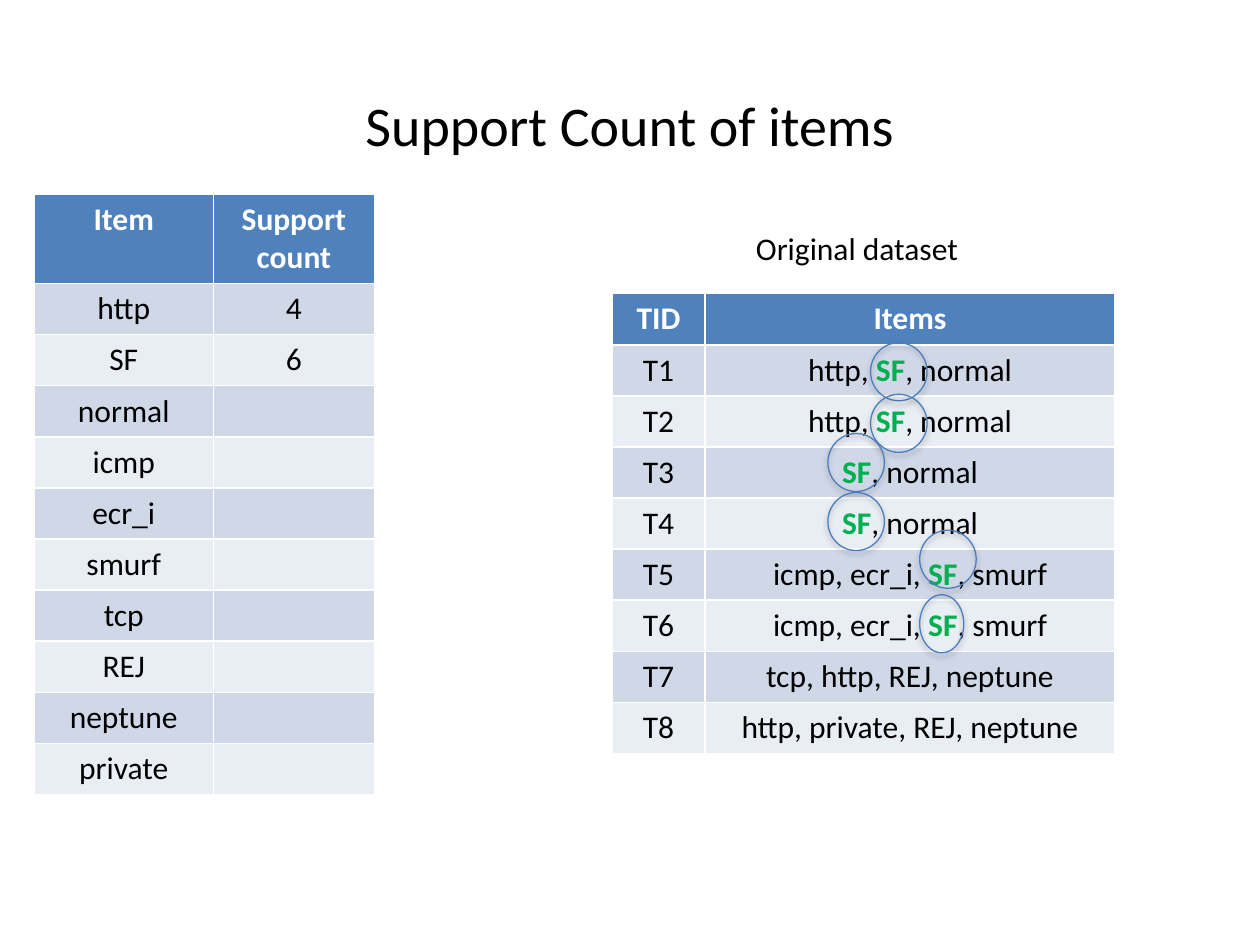
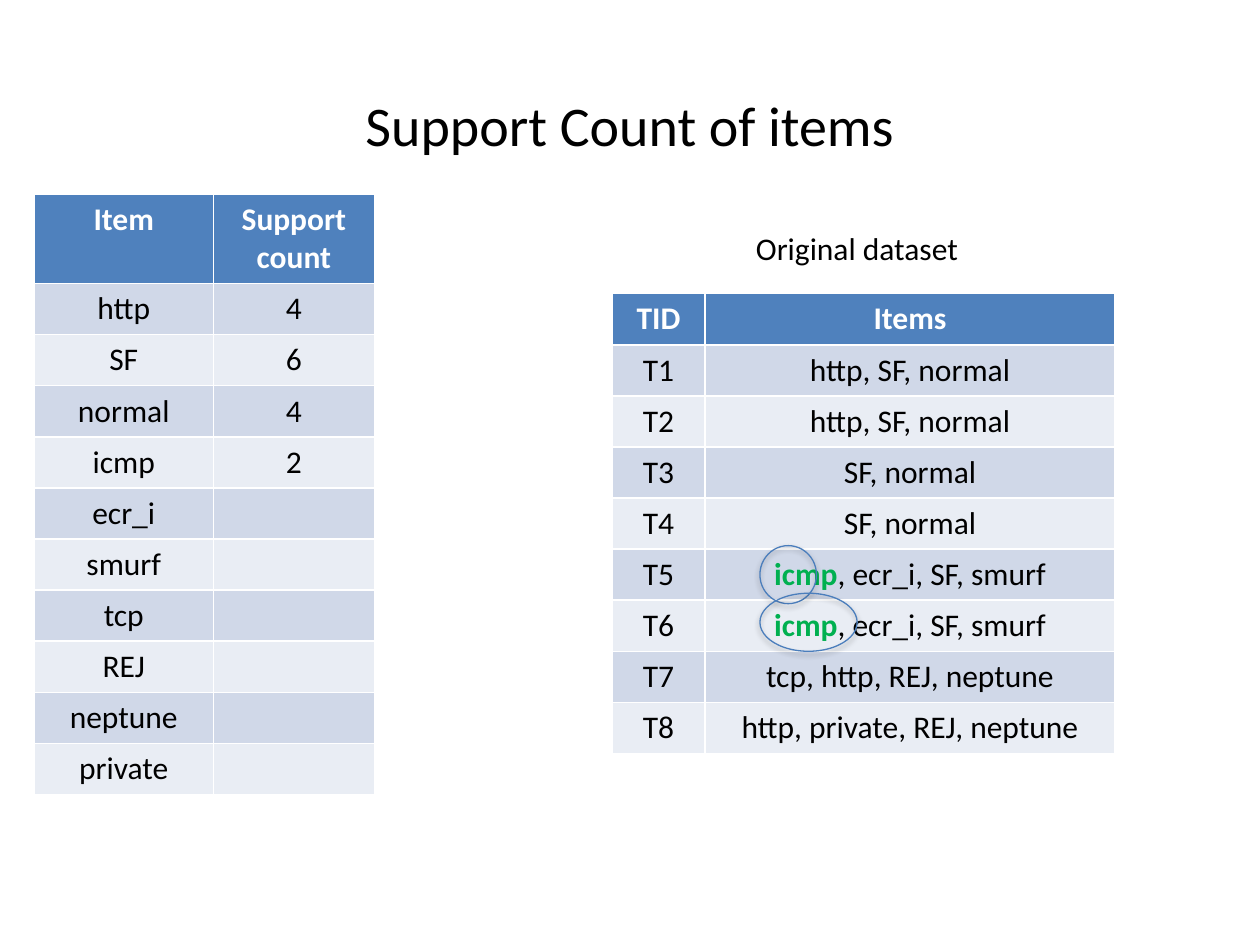
"""Build two slides that count the support of items in a dataset."""
from dataclasses import dataclass
from typing import Any

from pptx import Presentation
from pptx.dml.color import RGBColor
from pptx.enum.shapes import MSO_SHAPE as Kind
from pptx.enum.text import MSO_ANCHOR as Anchor, MSO_AUTO_SIZE as Auto, PP_ALIGN as Align
from pptx.util import Cm, Pt

BLACK = RGBColor(0x00, 0x00, 0x00)
WHITE = RGBColor(0xFF, 0xFF, 0xFF)
GREEN = RGBColor(0x00, 0xB0, 0x50)
BLUE = RGBColor(0x4F, 0x81, 0xBD)
EDGE = RGBColor(0x4B, 0x7E, 0xBC)
BANDS = (RGBColor(0xE9, 0xED, 0xF4), RGBColor(0xD0, 0xD8, 0xE8))

FONT = "Calibri"
BIG = {"name": FONT, "size": Pt(32), "bold": False}
BODY = {"name": FONT, "size": Pt(18), "bold": False}
BOLD = {**BODY, "bold": True}
ROW = 1.03

ITEMS = ("http", "SF", "normal", "icmp", "ecr_i", "smurf", "tcp", "REJ", "neptune", "private")
DATA = (
    "http, SF, normal",
    "http, SF, normal",
    "SF, normal",
    "SF, normal",
    "icmp, ecr_i, SF, smurf",
    "icmp, ecr_i, SF, smurf",
    "tcp, http, REJ, neptune",
    "http, private, REJ, neptune",
)


@dataclass(frozen=True)
class Grid:
    left: float
    top: float
    cols: tuple[float, ...]
    head: float


@dataclass(frozen=True)
class Ring:
    left: float
    top: float
    width: float = 1.14
    height: float = 1.17


@dataclass(frozen=True)
class Step:
    word: str
    counts: tuple[str, ...]
    rings: tuple[Ring, ...]


COUNT = Grid(0.69, 3.91, (3.61, 3.25), 1.8)
SOURCE = Grid(12.34, 5.92, (1.87, 8.27), ROW)

STEPS = (
    Step("SF", ("4", "6"), (
        Ring(17.55, 6.91), Ring(17.55, 7.95), Ring(16.69, 8.74),
        Ring(16.69, 9.93), Ring(18.54, 10.69), Ring(18.54, 11.99, 0.89),
    )),
    Step("icmp", ("4", "6", "4", "2"), (Ring(15.32, 11), Ring(15.32, 11.96, 1.96 - 0.18),)[:1]
         + (Ring(15.32, 11.96, 1.96),)),
)


def add_run(para: Any, text: str, form: dict[str, Any], color: RGBColor) -> None:
    """Append formatted text to a paragraph."""
    run = para.add_run()
    run.text = text
    for key, value in form.items():
        setattr(run.font, key, value)
    run.font.color.rgb = color


def fill_cell(cell: Any, text: str, row: int, word: str) -> None:
    """Colour a cell and write its text, with the chosen word in green."""
    cell.fill.solid()
    cell.fill.fore_color.rgb = BANDS[row % 2] if row else BLUE
    para = cell.text_frame.paragraphs[0]
    para.alignment = Align.CENTER
    if not row:
        add_run(para, text, BOLD, WHITE)
        return
    pre, hit, post = text.partition(word) if word else (text, "", "")
    for part, form, color in ((pre, BODY, BLACK), (hit, BOLD, GREEN), (post, BODY, BLACK)):
        if part:
            add_run(para, part, form, color)


def add_grid(slide: Any, grid: Grid, rows: list[tuple[str, ...]], word: str = "") -> None:
    """Draw a banded table."""
    high = grid.head + ROW * (len(rows) - 1)
    table = slide.shapes.add_table(len(rows), len(grid.cols), Cm(grid.left), Cm(grid.top),
                                   Cm(sum(grid.cols)), Cm(high)).table
    for col, width in zip(table.columns, grid.cols):
        col.width = Cm(width)
    for i, texts in enumerate(rows):
        table.rows[i].height = Cm(ROW if i else grid.head)
        for j, text in enumerate(texts):
            fill_cell(table.cell(i, j), text, i, word)


def add_ring(slide: Any, ring: Ring) -> None:
    """Draw an open ellipse with the theme's soft shadow."""
    shape = slide.shapes.add_shape(Kind.OVAL, Cm(ring.left), Cm(ring.top),
                                   Cm(ring.width), Cm(ring.height))
    shape.fill.background()
    shape.line.color.rgb = EDGE
    shape.line.width = Pt(0.75)


def add_title(slide: Any, text: str) -> None:
    """Place and format the title placeholder."""
    title = slide.shapes.title
    place = {"left": Cm(0), "top": Cm(1.68), "width": Cm(25.4), "height": Cm(1.63)}
    for key, value in place.items():
        setattr(title, key, value)
    frame = title.text_frame
    for key, value in {"vertical_anchor": Anchor.MIDDLE, "auto_size": Auto.NONE}.items():
        setattr(frame, key, value)
    frame.paragraphs[0].alignment = Align.CENTER
    add_run(frame.paragraphs[0], text, BIG, BLACK)


def add_label(slide: Any, text: str) -> None:
    """Write the label above the dataset."""
    frame = slide.shapes.add_textbox(Cm(14.99), Cm(4.5), Cm(6.86), Cm(1.02)).text_frame
    frame.word_wrap = True
    add_run(frame.paragraphs[0], text, BODY, BLACK)


def add_step(deck: Any, step: Step) -> None:
    """Build the slide for one step of the count."""
    slide = deck.slides.add_slide(deck.slide_layouts[5])
    add_title(slide, "Support Count of items")
    blanks = ("",) * (len(ITEMS) - len(step.counts))
    add_grid(slide, COUNT, [("Item", "Support count"), *zip(ITEMS, step.counts + blanks)])
    rows = [(f"T{i}", text) for i, text in enumerate(DATA, 1)]
    add_grid(slide, SOURCE, [("TID", "Items"), *rows], step.word)
    add_label(slide, "Original dataset")
    for ring in step.rings:
        add_ring(slide, ring)


def main() -> None:
    """Build and save the deck."""
    deck = Presentation()
    deck.slide_width, deck.slide_height = Cm(25.4), Cm(19.05)
    for step in STEPS:
        add_step(deck, step)
    deck.save("out.pptx")


if __name__ == "__main__":
    main()
